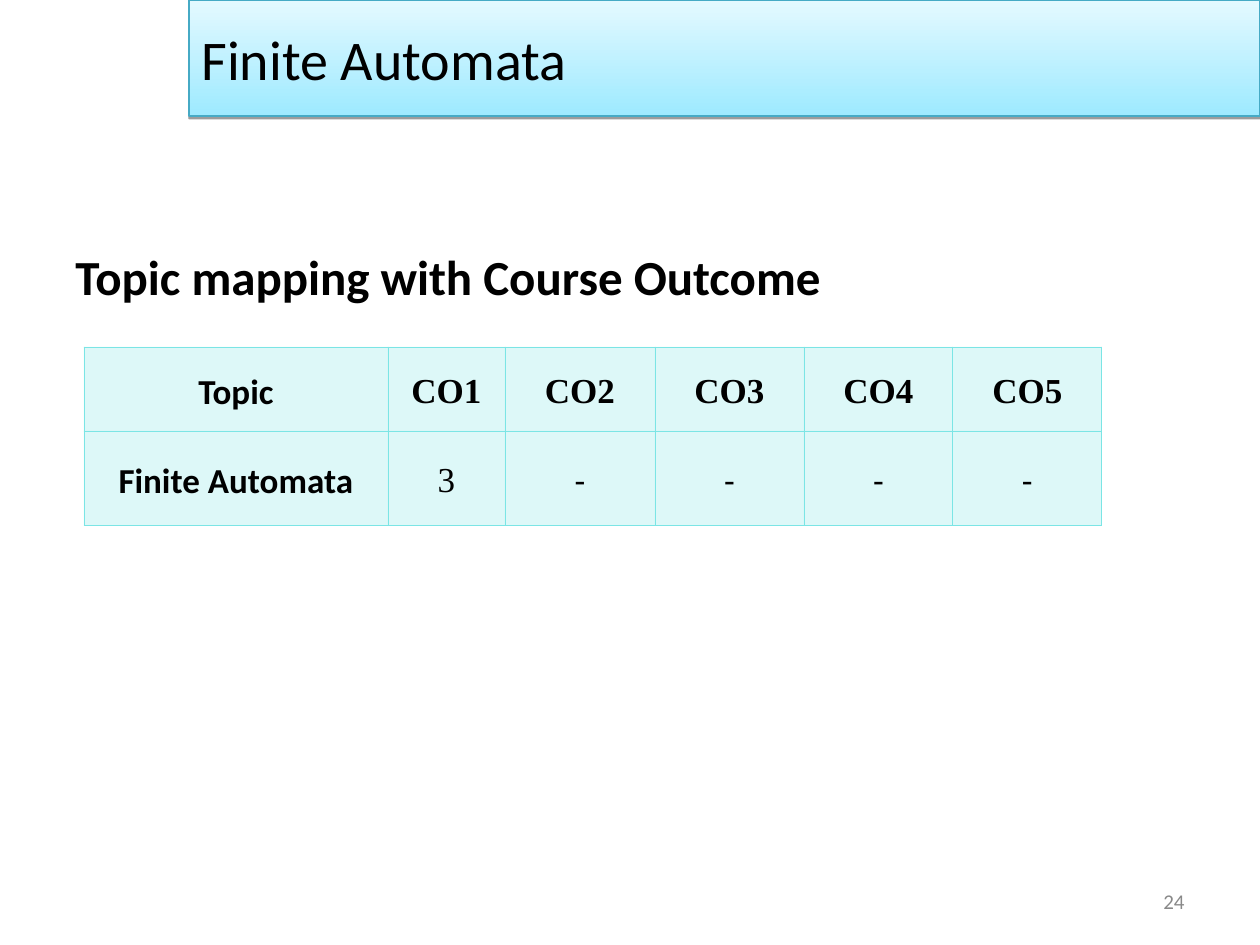
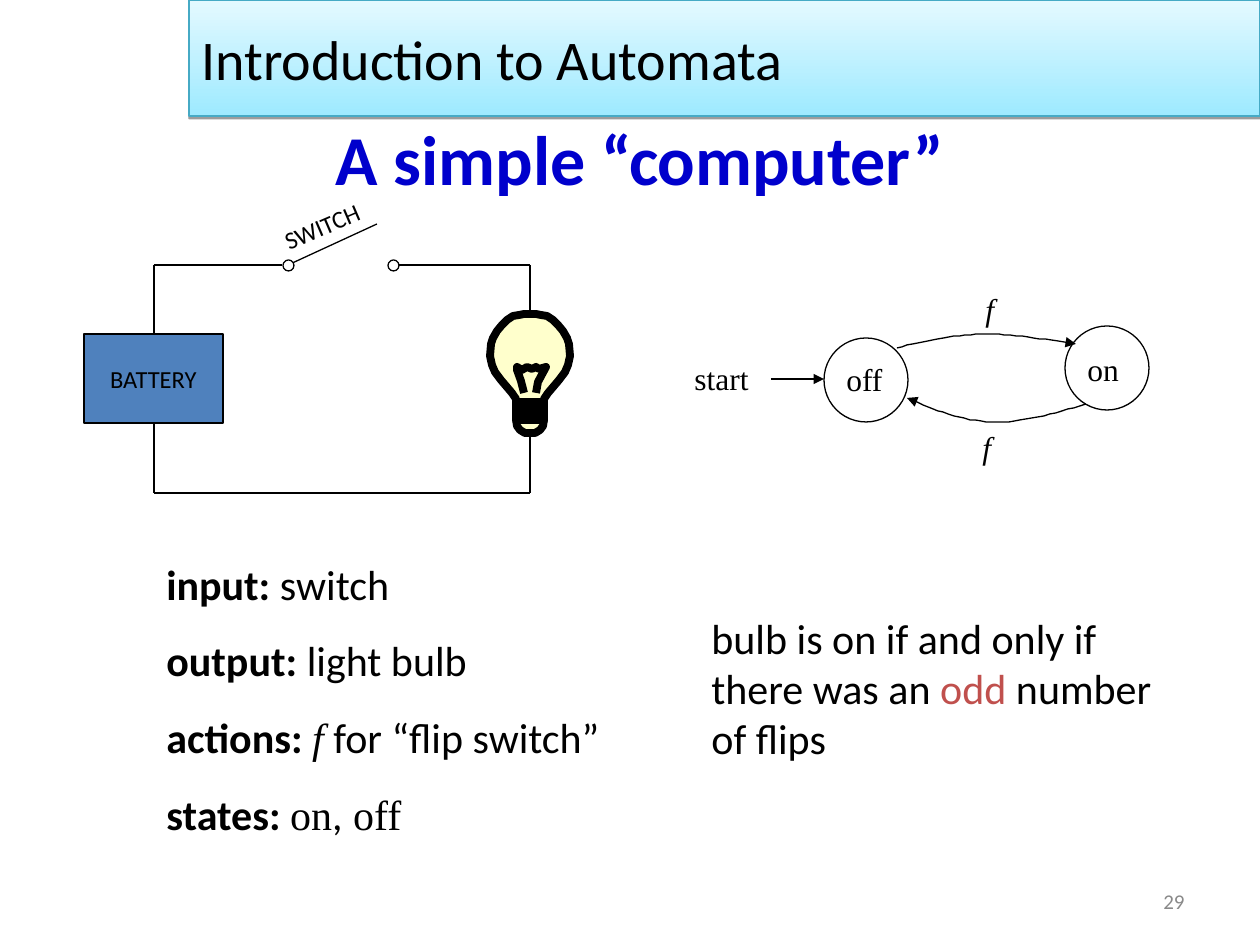
from lxml.etree import SubElement
from pptx import Presentation
from pptx.dml.color import RGBColor
from pptx.enum.shapes import MSO_CONNECTOR, MSO_SHAPE
from pptx.enum.text import MSO_ANCHOR, PP_ALIGN
from pptx.oxml.ns import qn
from pptx.util import Emu, Pt

BLACK = RGBColor(0x00, 0x00, 0x00)
WHITE = RGBColor(0xFF, 0xFF, 0xFF)
GREY = RGBColor(0x89, 0x89, 0x89)
BLUE = RGBColor(0x00, 0x00, 0xCC)
RED = RGBColor(0xC0, 0x50, 0x4D)
BATTERY_BLUE = RGBColor(0x4F, 0x81, 0xBD)
BULB_YELLOW = RGBColor(0xFF, 0xFF, 0xCC)
AQUA = RGBColor(0x7B, 0xE5, 0xE5)
BANNER_BOTTOM = RGBColor(0x9E, 0xEA, 0xFF)
BANNER_TOP = RGBColor(0xE4, 0xF9, 0xFF)
BANNER_EDGE = RGBColor(0x46, 0xAA, 0xC5)

SCALE = 914400 / 126
SLIDE_SIZE = (1260, 945)
BANNER_AT = (189, 0, 1071, 116)
NUMBER_AT = (903, 876, 294, 50)

BODY = {"name": "Calibri", "size": Pt(24), "bold": False, "italic": False, "color": BLACK}
SERIF = {"name": "Times New Roman"}
BOLD = {"bold": True}
STATE = {**SERIF, "size": Pt(18)}
FLIP = {**STATE, "italic": True}
PART = {"size": Pt(14)}
MAPPING_HEADING = {"size": Pt(28), "bold": True}
COMPUTER_HEADING = {"size": Pt(40), "bold": True, "color": BLUE}
OUTCOME = {"size": Pt(20)}

OUTCOMES = [
    [("Topic", BOLD)] + [(f"CO{n}", {**SERIF, **BOLD}) for n in range(1, 6)],
    [("Finite Automata", BOLD), ("3", SERIF)] + [("-", {})] * 4,
]
OUTCOMES_LEFT, OUTCOMES_TOP = 84, 347
OUTCOME_WIDTHS = [304, 117, 150, 149, 149, 149]
OUTCOME_HEIGHTS = [84, 94]

LEFT_WIRE, RIGHT_WIRE, TOP_WIRE, BOTTOM_WIRE = 154, 530, 265, 493
BATTERY_AT = (84, 334, 139, 89)
WIRES = [
    (LEFT_WIRE, TOP_WIRE, 282, TOP_WIRE),
    (LEFT_WIRE, TOP_WIRE, LEFT_WIRE, 334),
    (LEFT_WIRE, 423, LEFT_WIRE, BOTTOM_WIRE),
    (LEFT_WIRE, BOTTOM_WIRE, RIGHT_WIRE, BOTTOM_WIRE),
    (392, TOP_WIRE, RIGHT_WIRE, TOP_WIRE),
    (RIGHT_WIRE, TOP_WIRE, RIGHT_WIRE, BOTTOM_WIRE),
    (288, TOP_WIRE, 377, 224),
]
CONTACTS = [(283, 260, 11, 11), (388, 260, 11, 11)]
BULB_HALF = [
    (0, 433), (5, 433), (10, 430), (13, 426), (14, 420), (14, 399), (18, 393),
    (29, 380), (35, 372), (38, 365), (40, 356), (39, 344), (37, 338), (33, 331),
    (28, 325), (23, 320), (17, 316), (11, 315), (6, 314), (0, 314),
]
FILAMENT = [
    (524, 393), (521, 381), (517, 370), (517, 367), (522, 370), (527, 367),
    (532, 369), (536, 367), (539, 369), (546, 367), (538, 382), (536, 393),
]
THREAD = [
    (517, 402), (544, 402), (544, 408), (517, 408),
    (517, 413), (544, 413), (544, 420), (517, 420),
]

STATES = [(824, 338, 84, 84), (1065, 326, 84, 84)]
START_ARROW = (771, 379, 824, 379)
FLIP_CURVES = [
    [(897, 348), (925, 341), (951, 335), (982, 334), (1011, 334), (1043, 339), (1076, 344)],
    [(1086, 404), (1053, 414), (1022, 423), (992, 422), (961, 421), (935, 410), (907, 398)],
]
DIAGRAM_LABELS = [
    ("SWITCH", (270, 205, 105, 43), PART, -23.3),
    ("off", (834, 354, 66, 50), STATE, 0),
    ("on", (1075, 344, 63, 50), STATE, 0),
    ("start", (682, 353, 93, 50), STATE, 0),
    ("f", (973, 284, 35, 50), FLIP, 0),
    ("f", (970, 422, 35, 50), FLIP, 0),
]
DEFINITIONS = [
    [("input:", BOLD), (" switch", {})],
    [("output:", BOLD), (" light bulb", {})],
    [("actions: ", BOLD), ("f", {**SERIF, "italic": True}), (" for “flip switch”", {})],
    [("states: ", BOLD), ("on", SERIF), (",", {}), (" off", SERIF)],
]
CONCLUSION = [[
    ("bulb is on if and only if there was an ", {}),
    ("odd", {"color": RED}),
    (" number of flips", {}),
]]


def px(*lengths):
    return [Emu(round(length * SCALE)) for length in lengths]


def write(frame, paragraphs, base=None, gap=0, **layout):
    for index, runs in enumerate(paragraphs):
        paragraph = frame.paragraphs[0] if index == 0 else frame.add_paragraph()
        if index and gap:
            paragraph.space_before = Pt(gap)
        for name, value in layout.items():
            setattr(paragraph, name, value)
        for words, extra in runs:
            run = paragraph.add_run()
            run.text = words
            formats = {**BODY, **(base or {}), **extra}
            run.font.color.rgb = formats.pop("color")
            for name, value in formats.items():
                setattr(run.font, name, value)


def add_words(slide, at, paragraphs, base=None, wrap=True, anchor=MSO_ANCHOR.TOP, **layout):
    label = slide.shapes.add_textbox(*px(*at))
    label.text_frame.word_wrap = wrap
    label.text_frame.vertical_anchor = anchor
    write(label.text_frame, paragraphs, base, **layout)
    return label


def outline(part, fill=None, edge=BLACK, width=0.75):
    part.shadow.inherit = False
    if fill is None:
        part.fill.background()
    else:
        part.fill.solid()
        part.fill.fore_color.rgb = fill
    part.line.color.rgb = edge
    part.line.width = Pt(width)
    return part


def add_preset(slide, preset, at, fill=None, edge=BLACK):
    return outline(slide.shapes.add_shape(preset, *px(*at)), fill, edge)


def add_path(slide, strokes, fill=None, width=0.75, close=False):
    pen = slide.shapes.build_freeform(*strokes[0][0], scale=SCALE)
    for index, stroke in enumerate(strokes):
        if index:
            pen.move_to(*stroke[0])
        pen.add_line_segments(stroke[1:], close=close)
    return outline(pen.convert_to_shape(), fill, width=width)


def add_line(slide, ends):
    wire = slide.shapes.add_connector(MSO_CONNECTOR.STRAIGHT, *px(*ends))
    wire.line.color.rgb = BLACK
    wire.line.width = Pt(0.75)
    SubElement(wire._element.spPr, qn("a:effectLst"))
    return wire


def point_at_end(arrow):
    SubElement(arrow.line._get_or_add_ln(), qn("a:tailEnd"), type="triangle")


def curve_points(controls, steps=16):
    points = [controls[0]]
    for first in range(0, len(controls) - 1, 3):
        corners = controls[first:first + 4]
        for step in range(1, steps + 1):
            t = step / steps
            weights = ((1 - t) ** 3, 3 * t * (1 - t) ** 2, 3 * t * t * (1 - t), t ** 3)
            points.append(tuple(sum(w * c[axis] for w, c in zip(weights, corners)) for axis in (0, 1)))
    return points


def start_slide(deck, topic, number):
    slide = deck.slides.add_slide(deck.slide_layouts[6])
    banner = add_preset(slide, MSO_SHAPE.RECTANGLE, BANNER_AT, BANNER_BOTTOM, BANNER_EDGE)
    banner.fill.gradient()
    banner.fill.gradient_angle = 90
    for stop, colour in zip(banner.fill.gradient_stops, (BANNER_BOTTOM, BANNER_TOP)):
        stop.color.rgb = colour
    effects = banner._element.spPr.find(qn("a:effectLst"))
    shade = SubElement(effects, qn("a:outerShdw"), blurRad="0", dist="20000", dir="5400000", rotWithShape="0")
    tint = SubElement(shade, qn("a:srgbClr"), val=str(BLACK))
    SubElement(tint, qn("a:alpha"), val="38000")
    banner.text_frame.vertical_anchor = MSO_ANCHOR.MIDDLE
    write(banner.text_frame, [[(topic, {"size": Pt(32)})]], alignment=PP_ALIGN.LEFT)
    add_words(slide, NUMBER_AT, [[(str(number), {"size": Pt(12), "color": GREY})]],
              anchor=MSO_ANCHOR.MIDDLE, alignment=PP_ALIGN.RIGHT)
    return slide


def style_outcome(cell):
    cell.fill.solid()
    cell.fill.fore_color.rgb = AQUA
    properties = cell._tc.get_or_add_tcPr()
    SubElement(properties.find(f".//{qn('a:srgbClr')}"), qn("a:alpha"), val="25000")
    for index, side in enumerate(("lnL", "lnR", "lnT", "lnB")):
        edge = SubElement(properties, qn(f"a:{side}"), w="5715")
        SubElement(SubElement(edge, qn("a:solidFill")), qn("a:srgbClr"), val=str(AQUA))
        properties.insert(index, edge)
    cell.vertical_anchor = MSO_ANCHOR.MIDDLE
    cell.margin_left, cell.margin_right = px(10, 10)


def add_outcomes(slide):
    size = (sum(OUTCOME_WIDTHS), sum(OUTCOME_HEIGHTS))
    outcomes = slide.shapes.add_table(len(OUTCOMES), len(OUTCOME_WIDTHS),
                                      *px(OUTCOMES_LEFT, OUTCOMES_TOP, *size)).table
    outcomes.first_row = outcomes.horz_banding = False
    for column, width in zip(outcomes.columns, px(*OUTCOME_WIDTHS)):
        column.width = width
    for row, height, entries in zip(outcomes.rows, px(*OUTCOME_HEIGHTS), OUTCOMES):
        row.height = height
        for cell, entry in zip(row.cells, entries):
            style_outcome(cell)
            after = Pt(0 if entry[1].get("bold") else 10)
            write(cell.text_frame, [[entry]], OUTCOME, alignment=PP_ALIGN.CENTER,
                  line_spacing=1.15, space_after=after)


def add_circuit(slide):
    for ends in WIRES:
        add_line(slide, ends)
    for at in CONTACTS:
        add_preset(slide, MSO_SHAPE.OVAL, at, WHITE)
    battery = add_preset(slide, MSO_SHAPE.RECTANGLE, BATTERY_AT, BATTERY_BLUE)
    battery.text_frame.word_wrap = False
    battery.text_frame.vertical_anchor = MSO_ANCHOR.MIDDLE
    write(battery.text_frame, [[("BATTERY", PART)]], alignment=PP_ALIGN.CENTER)
    right = [(RIGHT_WIRE + x, y) for x, y in BULB_HALF]
    left = [(RIGHT_WIRE - x, y) for x, y in BULB_HALF[-2:0:-1]]
    add_path(slide, [right + left], BULB_YELLOW, 4.5, close=True)
    add_path(slide, [FILAMENT, THREAD], width=4.5)


def add_state_diagram(slide):
    for at in STATES:
        add_preset(slide, MSO_SHAPE.OVAL, at)
    for controls in FLIP_CURVES:
        point_at_end(add_path(slide, [curve_points(controls)]))
    point_at_end(add_line(slide, START_ARROW))


def main():
    deck = Presentation()
    deck.slide_width, deck.slide_height = px(*SLIDE_SIZE)

    mapping = start_slide(deck, "Finite Automata", 24)
    add_words(mapping, (63, 240, 1134, 72), [[("Topic mapping with Course Outcome", MAPPING_HEADING)]])
    add_outcomes(mapping)

    computer = start_slide(deck, "Introduction to Automata", 29)
    add_words(computer, (73, 116, 1134, 84), [[("A simple “computer”", COMPUTER_HEADING)]],
              anchor=MSO_ANCHOR.MIDDLE, alignment=PP_ALIGN.CENTER)
    add_circuit(computer)
    add_state_diagram(computer)
    for words, at, formats, turn in DIAGRAM_LABELS:
        add_words(computer, at, [[(words, formats)]], wrap=False).rotation = turn
    add_words(computer, (154, 552, 496, 344), DEFINITIONS, gap=15)
    add_words(computer, (699, 606, 496, 164), CONCLUSION)
    deck.save("out.pptx")


if __name__ == "__main__":
    main()
